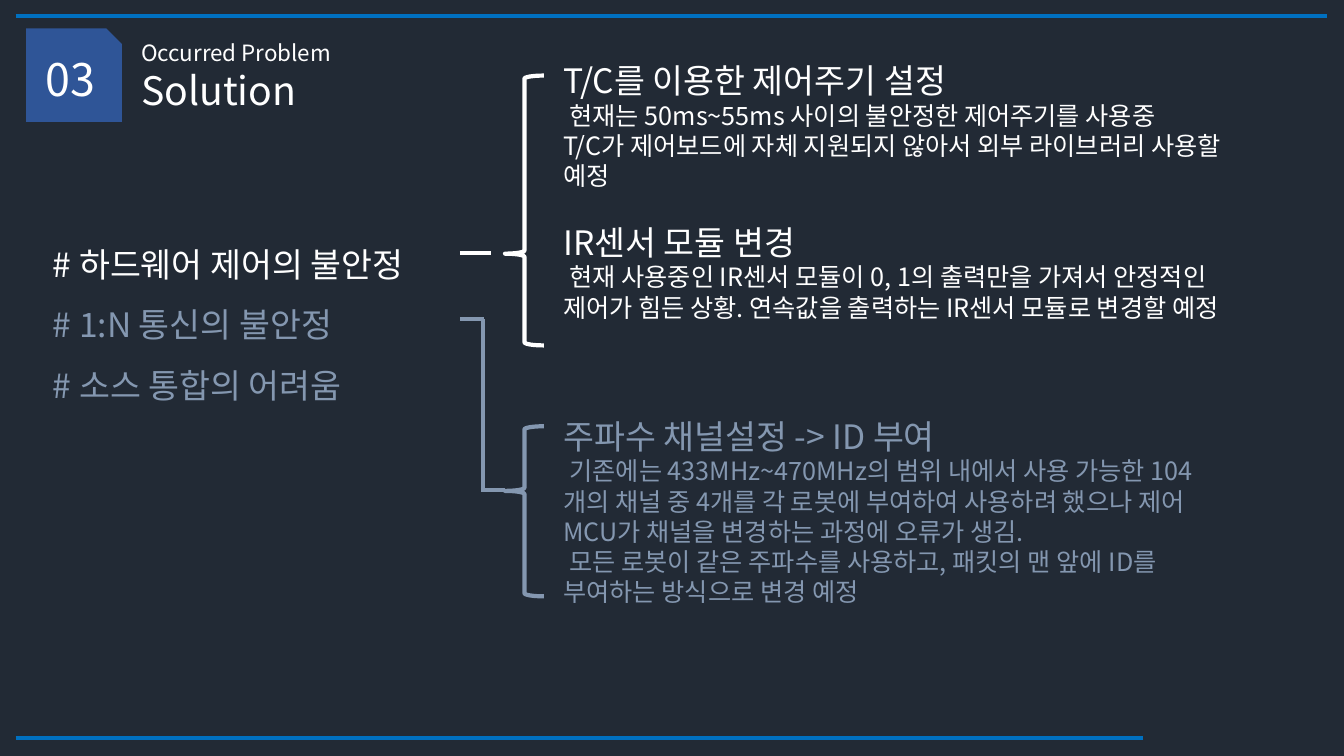
from pptx import Presentation
from pptx.dml.color import RGBColor
from pptx.enum.shapes import MSO_CONNECTOR, MSO_SHAPE
from pptx.enum.text import MSO_ANCHOR, PP_ALIGN
from pptx.oxml.ns import qn
from pptx.util import Emu, Pt
from lxml import etree

PX = 9525  # EMU in one px
FONT = "Noto Sans CJK KR"
STRAIGHT = MSO_CONNECTOR.STRAIGHT
BRACE = MSO_SHAPE.LEFT_BRACE
SNIPPED = MSO_SHAPE.SNIP_1_RECTANGLE
CENTER = PP_ALIGN.CENTER
MIDDLE = MSO_ANCHOR.MIDDLE

DARK = RGBColor(0x22, 0x2A, 0x35)
BLUE = RGBColor(0x2F, 0x55, 0x97)
RULE_BLUE = RGBColor(0x00, 0x70, 0xC0)
WHITE = RGBColor(0xFF, 0xFF, 0xFF)
MUTED = RGBColor(0x84, 0x97, 0xB0)

HEADING, BODY = 24, 18
PROBLEMS = [
    ("# 하드웨어 제어의 불안정", WHITE),
    ("# 1:N 통신의 불안정", MUTED),
    ("# 소스 통합의 어려움", MUTED),
]
HARDWARE = [
    ("T/C를 이용한 제어주기 설정", [
        ("현재는 50ms~55ms 사이의 불안정한 제어주기를 사용중", True),
        ("T/C가 제어보드에 자체 지원되지 않아서 외부 라이브러리 사용할 예정", False),
    ]),
    ("IR센서 모듈 변경", [
        ("현재 사용중인 IR센서 모듈이 0, 1의 출력만을 가져서 안정적인 제어가 힘든 상황. "
         "연속값을 출력하는 IR센서 모듈로 변경할 예정", True),
    ]),
]
CHANNEL = [
    ("주파수 채널설정 -> ID 부여", [
        ("기존에는 433MHz~470MHz의 범위 내에서 사용 가능한 104개의 채널 중 4개를 각 로봇에 "
         "부여하여 사용하려 했으나 제어 MCU가 채널을 변경하는 과정에 오류가 생김.", True),
        ("모든 로봇이 같은 주파수를 사용하고, 패킷의 맨 앞에 ID를 부여하는 방식으로 변경 예정", True),
    ]),
]


def px(*lengths):
    return [Emu(length * PX) for length in lengths]


def write_paragraph(frame, text, size, color, first=True, indent=0, **layout):
    """Add one paragraph; layout holds paragraph format values."""
    paragraph = frame.paragraphs[0] if first else frame.add_paragraph()
    for name, value in layout.items():
        setattr(paragraph, name, value)
    if indent:
        paragraph._p.get_or_add_pPr().set("indent", str(indent * PX))
    run = paragraph.add_run()
    run.text = text
    for name, value in {"name": FONT, "size": Pt(size)}.items():
        setattr(run.font, name, value)
    run.font.color.rgb = color
    east_asian = etree.SubElement(run.font._element, qn("a:ea"))
    east_asian.set("typeface", FONT)


def add_text_frame(slide, *box):
    frame = slide.shapes.add_textbox(*px(*box)).text_frame
    frame.word_wrap = True
    return frame


def add_solution(slide, box, sections, color):
    frame = add_text_frame(slide, *box)
    frame.margin_right = Emu(20 * PX)
    for number, (heading, lines) in enumerate(sections):
        gap = {"space_before": Pt(22)} if number else {}
        write_paragraph(frame, heading, HEADING, color, first=not number, **gap)
        for text, indented in lines:
            write_paragraph(frame, text, BODY, color, first=False,
                            indent=6 if indented else 0)


def add_line(slide, start, end, color):
    line = slide.shapes.add_connector(STRAIGHT, *px(*start, *end))
    line.line.color.rgb = color
    line.line.width = Pt(3)
    etree.SubElement(line._element.spPr, qn("a:effectLst"))


def add_brace(slide, box, tip, color):
    brace = slide.shapes.add_shape(BRACE, *px(*box))
    brace.shadow.inherit = False
    brace.fill.background()
    brace.line.color.rgb = color
    brace.line.width = Pt(3)
    brace.adjustments[0] = 0.08
    brace.adjustments[1] = tip


def add_badge(slide, box, text):
    badge = slide.shapes.add_shape(SNIPPED, *px(*box))
    badge.shadow.inherit = False
    badge.fill.solid()
    badge.fill.fore_color.rgb = BLUE
    badge.line.fill.background()
    badge.text_frame.vertical_anchor = MIDDLE
    write_paragraph(badge.text_frame, text, 32, WHITE, alignment=CENTER)


def main():
    presentation = Presentation()
    presentation.slide_width, presentation.slide_height = px(1280, 720)
    slide = presentation.slides.add_slide(presentation.slide_layouts[6])
    slide.background.fill.solid()
    slide.background.fill.fore_color.rgb = DARK

    # Header and rules
    add_badge(slide, (25, 27, 91, 89), "03")
    for text, size, top, height in (("Occurred Problem", 16, 33, 36),
                                    ("Solution", 28, 58, 55)):
        frame = add_text_frame(slide, 125, top, 854, height)
        write_paragraph(frame, text, size, WHITE)
    for right, y in ((1264, 15), (1089, 703)):
        add_line(slide, (15, y), (right, y), RULE_BLUE)

    # Problems
    frame = add_text_frame(slide, 41, 208, 405, 235)
    for number, (text, color) in enumerate(PROBLEMS):
        write_paragraph(frame, text, HEADING, color, first=not number,
                        line_spacing=1.5)

    # Solutions
    add_solution(slide, (527, 52, 662, 291), HARDWARE, WHITE)
    add_solution(slide, (527, 391, 662, 232), CHANNEL, MUTED)

    # Braces and the lines leading to them
    add_brace(slide, (481, 72, 37, 257), 0.66, WHITE)
    add_brace(slide, (481, 406, 37, 162), 0.38, MUTED)
    add_line(slide, (438, 241), (468, 241), WHITE)
    for start, end in (((438, 304), (461, 304)),
                       ((460, 304), (460, 467)),
                       ((458, 467), (481, 467))):
        add_line(slide, start, end, MUTED)

    presentation.save("out.pptx")


if __name__ == "__main__":
    main()
